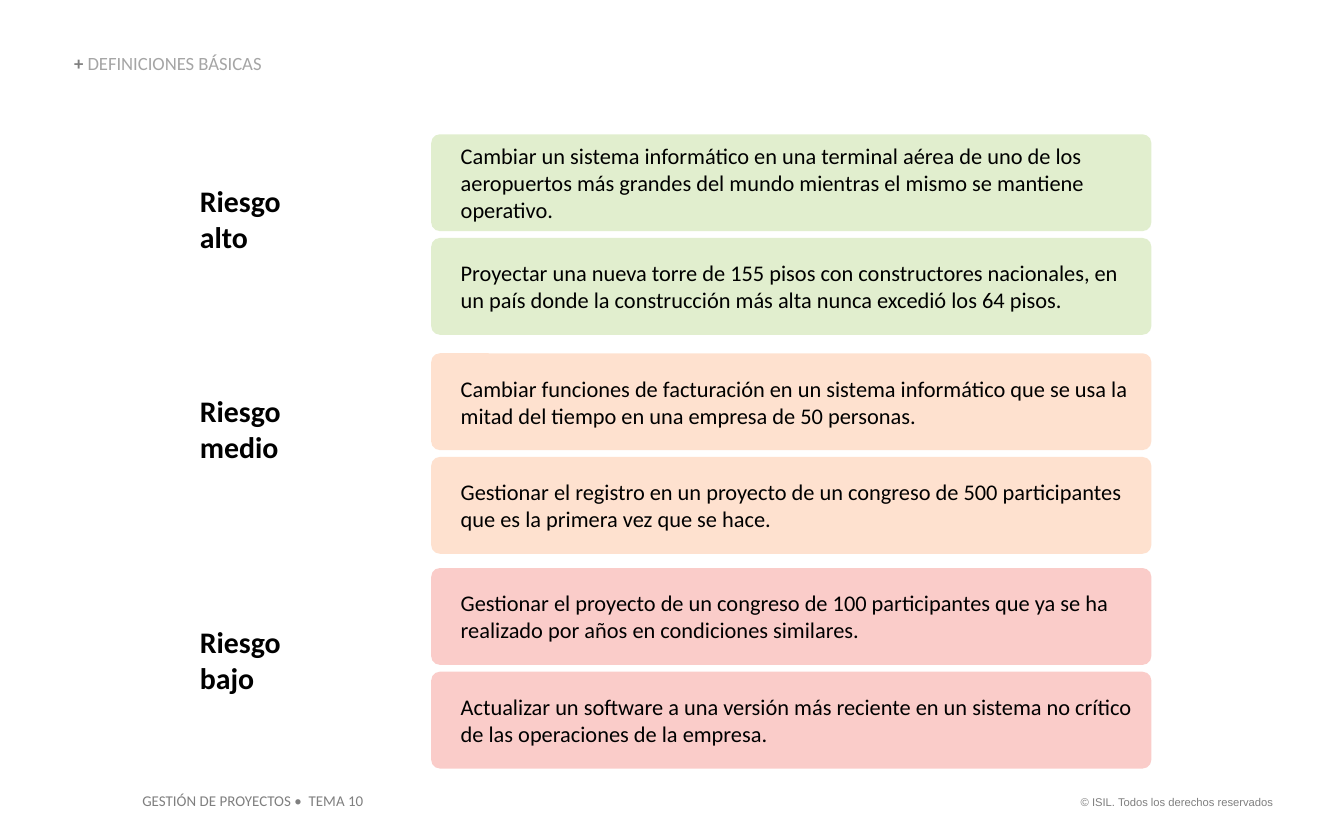
from lxml.etree import SubElement
from pptx import Presentation
from pptx.dml.color import RGBColor
from pptx.enum.shapes import MSO_SHAPE as Shape
from pptx.enum.text import MSO_ANCHOR as Anchor, MSO_AUTO_SIZE as AutoSize, PP_ALIGN as Align
from pptx.oxml.ns import qn
from pptx.util import Cm, Pt

# Content: label, label top and width, first card top, colour, opacity %, examples
RISKS = [
    ("Riesgo alto", 3.45, 1.93, 2.54, "92C24D", 27, [
        "Cambiar un sistema informático en una terminal aérea de uno de los aeropuertos "
        "más grandes del mundo mientras el mismo se mantiene operativo.",
        "Proyectar una nueva torre de 155 pisos con constructores nacionales, en un país "
        "donde la construcción más alta nunca excedió los 64 pisos.",
    ]),
    ("Riesgo medio", 7.42, 2.92, 6.68, "FE7828", 22, [
        "Cambiar funciones de facturación en un sistema informático que se usa la mitad "
        "del tiempo en una empresa de 50 personas.",
        "Gestionar el registro en un proyecto de un congreso de 500 participantes que es "
        "la primera vez que se hace.",
    ]),
    ("Riesgo bajo", 11.79, 1.88, 10.74, "EF4539", 27, [
        "Gestionar el proyecto de un congreso de 100 participantes que ya se ha realizado "
        "por años en condiciones similares.",
        "Actualizar un software a una versión más reciente en un sistema no crítico de las "
        "operaciones de la empresa.",
    ]),
]
TITLE = ["+ ", "DEFINICIONES BÁSICAS"]
COURSE = "GESTIÓN DE PROYECTOS •  TEMA 10"
RIGHTS = "© ISIL. Todos los derechos reservados"

THEME = {
    "font": "Calibri", "small_font": "Arial",
    "text": "000000", "muted": "7F7F7F", "pale": "A5A5A5",
    "title": 10, "label": 16, "card": 12, "course": 8, "rights": 6,
}

# Layout in centimetres
LABEL_LEFT, LABEL_HEIGHT = 3.78, 1.37
CARD_LEFT, CARD_WIDTH, CARD_HEIGHT, CARD_STEP = 8.15, 13.61, 1.83, 1.96
NO_INSETS = (0, 0, 0, 0)
BOX_INSETS = (0.25, 0.13, 0.25, 0.13)
CARD_INSETS = (0.51, 0.13, 0.3, 0.13)


def style(span, size, color, bold=False, font=THEME["font"]):
    span.font.name, span.font.size, span.font.bold = font, Pt(size), bold
    span.font.color.rgb = RGBColor.from_string(color)


def set_frame(shape, insets, anchor=Anchor.TOP):
    frame = shape.text_frame
    frame.word_wrap, frame.auto_size = True, AutoSize.NONE
    frame.vertical_anchor = anchor
    (frame.margin_left, frame.margin_top,
     frame.margin_right, frame.margin_bottom) = map(Cm, insets)
    return frame


def write(shape, text, insets, size, color, align=Align.LEFT, anchor=Anchor.TOP, **look):
    frame = set_frame(shape, insets, anchor)
    frame.text = text
    para = frame.paragraphs[0]
    para.alignment = align
    style(para.runs[0], size, color, **look)


def add_text(page, place, *args, **options):
    write(page.shapes.add_textbox(*map(Cm, place)), *args, **options)


def add_card(page, top, text, color, opacity):
    card = page.shapes.add_shape(Shape.ROUNDED_RECTANGLE, Cm(CARD_LEFT), Cm(top),
                                 Cm(CARD_WIDTH), Cm(CARD_HEIGHT))
    card.adjustments[0] = 0.09
    card.shadow.inherit = False
    card.line.fill.background()
    card.fill.solid()
    card.fill.fore_color.rgb = RGBColor.from_string(color)
    tint = card.fill._xPr.find(qn("a:solidFill"))[0]
    SubElement(tint, qn("a:alpha"), val=str(opacity * 1000))
    write(card, text, CARD_INSETS, THEME["card"], THEME["text"], anchor=Anchor.MIDDLE)


def add_title(page):
    title = page.shapes.title
    title.left, title.top, title.width, title.height = map(Cm, (1.4, 1.04, 6.76, 0.38))
    para = set_frame(title, NO_INSETS, Anchor.BOTTOM).paragraphs[0]
    para.alignment, para.line_spacing = Align.LEFT, 0.9
    for text, color, bold in zip(TITLE, (THEME["muted"], THEME["pale"]), (True, False)):
        span = para.add_run()
        span.text = text
        style(span, THEME["title"], color, bold)


def main():
    deck = Presentation()
    deck.slide_width, deck.slide_height = Cm(25.4), Cm(15.88)
    page = deck.slides.add_slide(deck.slide_layouts[5])
    add_title(page)

    # Footer
    add_text(page, (20.09, 14.91, 4.22, 0.51), RIGHTS, BOX_INSETS, THEME["rights"],
             THEME["muted"], align=Align.RIGHT, font=THEME["small_font"])
    add_text(page, (2.44, 14.83, 4.8, 0.61), COURSE, BOX_INSETS, THEME["course"],
             THEME["muted"])

    # Risk levels with their example cards
    for label, label_top, label_width, top, color, opacity, examples in RISKS:
        add_text(page, (LABEL_LEFT, label_top, label_width, LABEL_HEIGHT), label,
                 NO_INSETS, THEME["label"], THEME["text"], bold=True)
        for row, example in enumerate(examples):
            add_card(page, top + row * CARD_STEP, example, color, opacity)

    deck.save("out.pptx")


if __name__ == "__main__":
    main()
